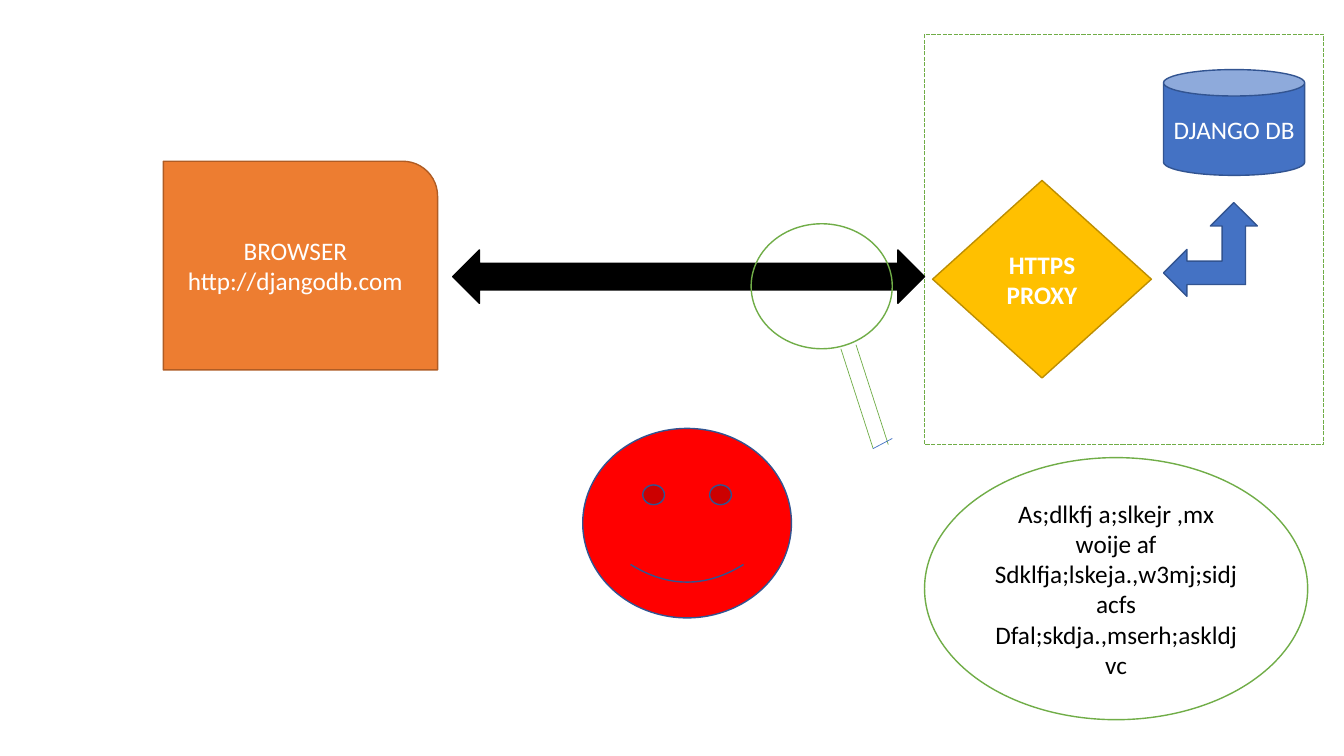
from lxml import etree
from pptx import Presentation
from pptx.dml.color import RGBColor
from pptx.enum.dml import MSO_LINE
from pptx.enum.shapes import MSO_CONNECTOR, MSO_SHAPE
from pptx.enum.text import MSO_ANCHOR, PP_ALIGN
from pptx.oxml.ns import qn
from pptx.util import Inches, Pt

DASH = MSO_LINE.SQUARE_DOT
LINE = MSO_CONNECTOR.STRAIGHT
MIDDLE = MSO_ANCHOR.MIDDLE
CENTER = PP_ALIGN.CENTER
RECT = MSO_SHAPE.RECTANGLE
CAN = MSO_SHAPE.CAN
CARD = MSO_SHAPE.ROUND_1_RECTANGLE
BOTH = MSO_SHAPE.LEFT_RIGHT_ARROW
BEND = MSO_SHAPE.LEFT_UP_ARROW
SMILE = MSO_SHAPE.SMILEY_FACE
OVAL = MSO_SHAPE.OVAL
GEM = MSO_SHAPE.DIAMOND

FONT = "Calibri"
COLORS = {
    "white": "FFFFFF", "black": "000000", "red": "FF0000",
    "blue": "4472C4", "navy": "325491", "green": "70AD47",
    "orange": "ED7D31", "rust": "AF5C24",
    "gold": "FFC000", "ochre": "BD8E00",
}


def color(name):
    return RGBColor.from_string(COLORS[name])


def add_text(shape, lines, ink="white", bold=False):
    frame = shape.text_frame
    frame.word_wrap = True
    frame.vertical_anchor = MIDDLE
    for i, line in enumerate(lines):
        para = frame.add_paragraph() if i else frame.paragraphs[0]
        para.alignment = CENTER
        run = para.add_run()
        run.text = line
        run.font.name = FONT
        run.font.size = Pt(18)
        run.font.bold = bold
        run.font.color.rgb = color(ink)


def add_shape(slide, kind, box, fill, edge):
    shape = slide.shapes.add_shape(kind, *[Inches(n) for n in box])
    shape.shadow.inherit = False
    if fill:
        shape.fill.solid()
        shape.fill.fore_color.rgb = color(fill)
    else:
        shape.fill.background()
    shape.line.color.rgb = color(edge)
    shape.line.width = Pt(1)
    return shape


def add_line(slide, start, end, edge):
    line = slide.shapes.add_connector(LINE, *[Inches(n) for n in (*start, *end)])
    line.line.color.rgb = color(edge)
    line.line.width = Pt(0.5)
    etree.SubElement(line.element.spPr, qn("a:effectLst"))


# Dashed server zone with its database
def add_zone(slide, box):
    x, y, w, h = box
    zone = add_shape(slide, RECT, box, "white", "green")
    zone.line.dash_style = DASH
    store = add_shape(slide, CAN, (x + 2.37, y + 0.35, 1.4, 1.05), "blue", "navy")
    add_text(store, ["DJANGO DB"])


# Browser card and the traffic arrow to its right
def add_client(slide, box):
    x, y, w, h = box
    card = add_shape(slide, CARD, box, "orange", "rust")
    add_text(card, ["BROWSER", "http://djangodb.com"])
    add_shape(slide, BOTH, (x + w + 0.15, y + 0.88, 4.68, 0.53), "black", "black")


# Magnifying glass: lens, two handle sides and the handle end
def add_lens(slide, box):
    x, y, w, h = box
    add_shape(slide, OVAL, box, None, "green")
    left, top = x + 0.89, y + h
    for dx, dy in ((0, 0), (0.15, -0.04)):
        start = left + dx, top + dy
        add_line(slide, start, (start[0] + 0.32, start[1] + 0.99), "green")
    add_line(slide, (left + 0.32, top + 0.99), (left + 0.51, top + 0.89), "blue")


# Scrambled text seen through the lens
def add_view(slide, box):
    view = add_shape(slide, OVAL, box, "white", "green")
    add_text(view, [
        "As;dlkfj a;slkejr ,mx woije af",
        "Sdklfja;lskeja.,w3mj;sidjacfs",
        "Dfal;skdja.,mserh;askldjvc",
    ], "black")


# Proxy diamond and the bent arrow up to the database
def add_proxy(slide, box):
    x, y, w, h = box
    proxy = add_shape(slide, GEM, box, "gold", "ochre")
    add_text(proxy, ["HTTPS PROXY"], bold=True)
    add_shape(slide, BEND, (x + w + 0.12, y + 0.22, 0.93, 0.93), "blue", "navy")


def main():
    deck = Presentation()
    deck.slide_width = Inches(13.33)
    deck.slide_height = Inches(7.5)
    slide = deck.slides.add_slide(deck.slide_layouts[6])
    add_zone(slide, (9.17, 0.34, 3.96, 4.07))
    add_client(slide, (1.62, 1.6, 2.72, 2.07))
    add_shape(slide, SMILE, (5.78, 4.25, 2.07, 1.88), "red", "navy")
    add_lens(slide, (7.45, 2.22, 1.4, 1.24))
    add_view(slide, (9.17, 4.54, 3.8, 2.6))
    add_proxy(slide, (9.25, 1.79, 2.17, 1.96))
    deck.save("out.pptx")


if __name__ == "__main__":
    main()
